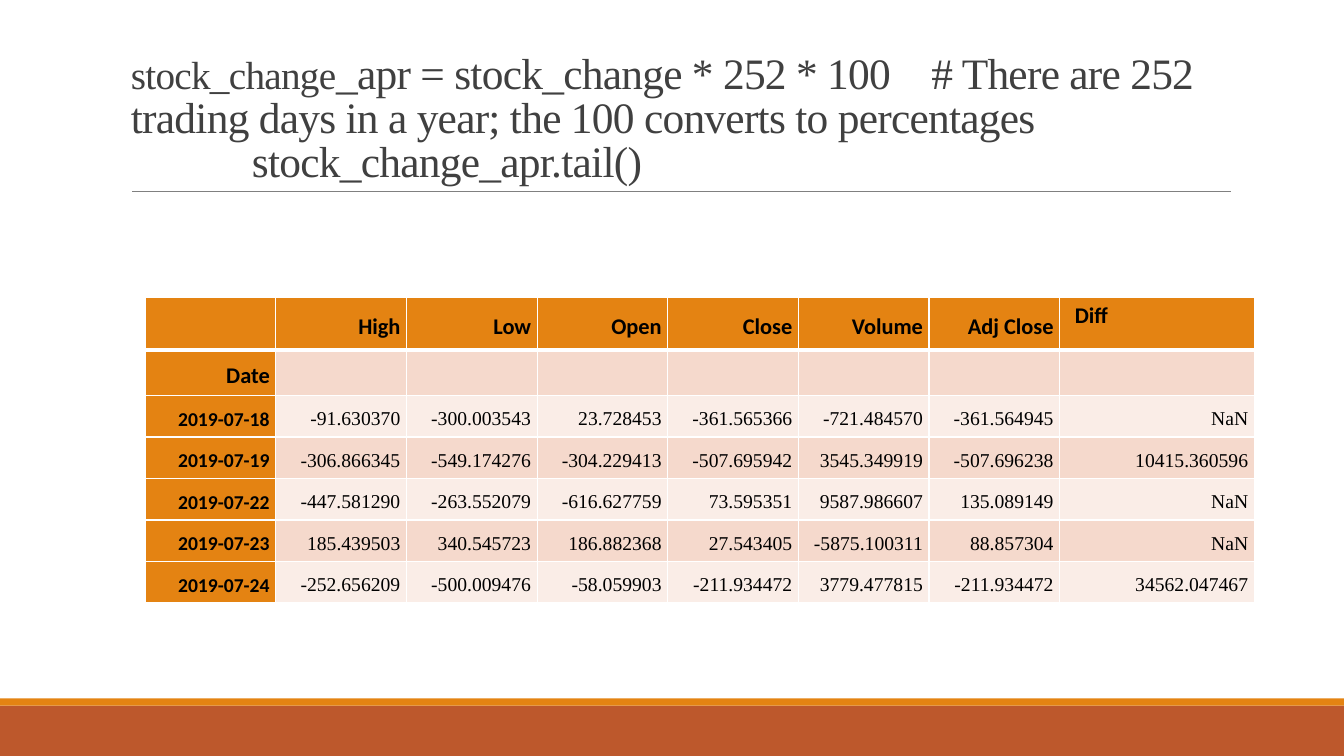
"""Build a slide with a table of annualised stock changes."""
from lxml.etree import SubElement
from pptx import Presentation
from pptx.dml.color import RGBColor
from pptx.enum.shapes import MSO_CONNECTOR, MSO_SHAPE
from pptx.enum.text import MSO_ANCHOR, PP_ALIGN
from pptx.oxml.ns import qn
from pptx.util import Inches, Pt

COLORS = {
    "rust": "BD582C", "orange": "E48312", "rule": "808080", "title": "404040",
    "ink": "000000", "white": "FFFFFF", "dark_band": "F5D9CC", "light_band": "FAEDE7",
}
SERIF, SANS = "Times New Roman", "Calibri"
TITLE_START = "stock_change"
TITLE_REST = ("_apr = stock_change * 252 * 100\t# There are 252 trading days in a year; "
              "the 100 converts to percentages")
TITLE_CALL = "stock_change_apr.tail()"
ROWS = [
    ["", "High", "Low", "Open", "Close", "Volume", "Adj Close", "Diff"],
    ["Date", "", "", "", "", "", "", ""],
    ["2019-07-18", "-91.630370", "-300.003543", "23.728453", "-361.565366",
     "-721.484570", "-361.564945", "NaN"],
    ["2019-07-19", "-306.866345", "-549.174276", "-304.229413", "-507.695942",
     "3545.349919", "-507.696238", "10415.360596"],
    ["2019-07-22", "-447.581290", "-263.552079", "-616.627759", "73.595351",
     "9587.986607", "135.089149", "NaN"],
    ["2019-07-23", "185.439503", "340.545723", "186.882368", "27.543405",
     "-5875.100311", "88.857304", "NaN"],
    ["2019-07-24", "-252.656209", "-500.009476", "-58.059903", "-211.934472",
     "3779.477815", "-211.934472", "34562.047467"],
]
BANDS = [("rust", 7, 0.5), ("orange", 6.93, 0.07)]
ROW_HEIGHTS = [0.52, 0.41] + [0.39] * 5
TABLE_W, LAST_COL_W = 11, 1.93


def rgb(name):
    return RGBColor.from_string(COLORS[name])


def add_text(p, text, size, font=SERIF, color="ink", bold=False, spacing=None):
    r = p.add_run()
    r.text = text
    r.font.size, r.font.name, r.font.bold = Pt(size), font, bold
    r.font.color.rgb = rgb(color)
    if spacing is not None:
        r._r.get_or_add_rPr().set("spc", str(round(spacing * 100)))


def add_borders(cell, widths):
    tcPr = cell._tc.get_or_add_tcPr()
    for side, width in widths.items():
        ln = SubElement(tcPr, qn(f"a:ln{side}"), w=str(Pt(width)))
        fill = SubElement(ln, qn("a:solidFill"))
        SubElement(fill, qn("a:srgbClr"), val=COLORS["white"])


def add_frame(s):
    for color, top, height in BANDS:
        sp = s.shapes.add_shape(MSO_SHAPE.RECTANGLE, 0, Inches(top),
                                Inches(13.33), Inches(height))
        sp.shadow.inherit = False
        sp.fill.solid()
        sp.fill.fore_color.rgb = rgb(color)
        sp.line.fill.background()
    rule = s.shapes.add_connector(MSO_CONNECTOR.STRAIGHT, Inches(1.31), Inches(1.9),
                                  Inches(12.21), Inches(1.9))
    rule.line.color.rgb = rgb("rule")
    rule.line.width = Pt(0.5)
    SubElement(rule._element.spPr, qn("a:effectLst"))


def add_title(s):
    tf = s.shapes.add_textbox(Inches(1.2), Inches(0.31), Inches(11), Inches(1.59)).text_frame
    tf.word_wrap = True
    tf.vertical_anchor = MSO_ANCHOR.BOTTOM
    p, call = tf.paragraphs[0], tf.add_paragraph()
    p.line_spacing = call.line_spacing = 0.85
    tabs = SubElement(p._p.get_or_add_pPr(), qn("a:tabLst"))
    SubElement(tabs, qn("a:tab"), pos=str(Inches(7.94)), algn="l")
    call._p.get_or_add_pPr().set("marL", str(Inches(1.2)))
    look = {"color": "title", "spacing": -0.5}
    add_text(p, TITLE_START, 28, **look)
    add_text(p, TITLE_REST, 31, **look)
    add_text(call, TITLE_CALL, 31, **look)


def fill_cell(cell, i, j, text):
    add_borders(cell, {"L": 1, "R": 1, "T": 3 if i == 1 else 1, "B": 3 if i == 0 else 1})
    heading = i == 0 or j == 0
    cell.fill.solid()
    cell.fill.fore_color.rgb = rgb("orange" if heading else
                                   "dark_band" if i % 2 else "light_band")
    if not text:
        return
    p = cell.text_frame.paragraphs[0]
    if text == "Diff":
        cell.margin_left = Inches(0.15)
    else:
        cell.vertical_anchor = MSO_ANCHOR.MIDDLE
        cell.margin_left = cell.margin_right = Inches(0.06)
        cell.margin_top = cell.margin_bottom = Inches(0.06)
        p.alignment = PP_ALIGN.RIGHT
        p.line_spacing = 1.25
    add_text(p, text, 16 if i < 2 else 14, font=SANS if heading else SERIF, bold=heading)


def add_changes(s):
    cols = len(ROWS[0])
    table = s.shapes.add_table(len(ROWS), cols, Inches(1.44), Inches(2.95),
                               Inches(TABLE_W), Inches(sum(ROW_HEIGHTS))).table
    table.first_col = True
    for j, col in enumerate(table.columns):
        last = j == cols - 1
        col.width = Inches(LAST_COL_W if last else (TABLE_W - LAST_COL_W) / (cols - 1))
    for i, values in enumerate(ROWS):
        table.rows[i].height = Inches(ROW_HEIGHTS[i])
        for j, text in enumerate(values):
            fill_cell(table.cell(i, j), i, j, text)


def main():
    prs = Presentation()
    prs.slide_width, prs.slide_height = Inches(13.33), Inches(7.5)
    s = prs.slides.add_slide(prs.slide_layouts[6])
    add_frame(s)
    add_title(s)
    add_changes(s)
    prs.save("out.pptx")


if __name__ == "__main__":
    main()
